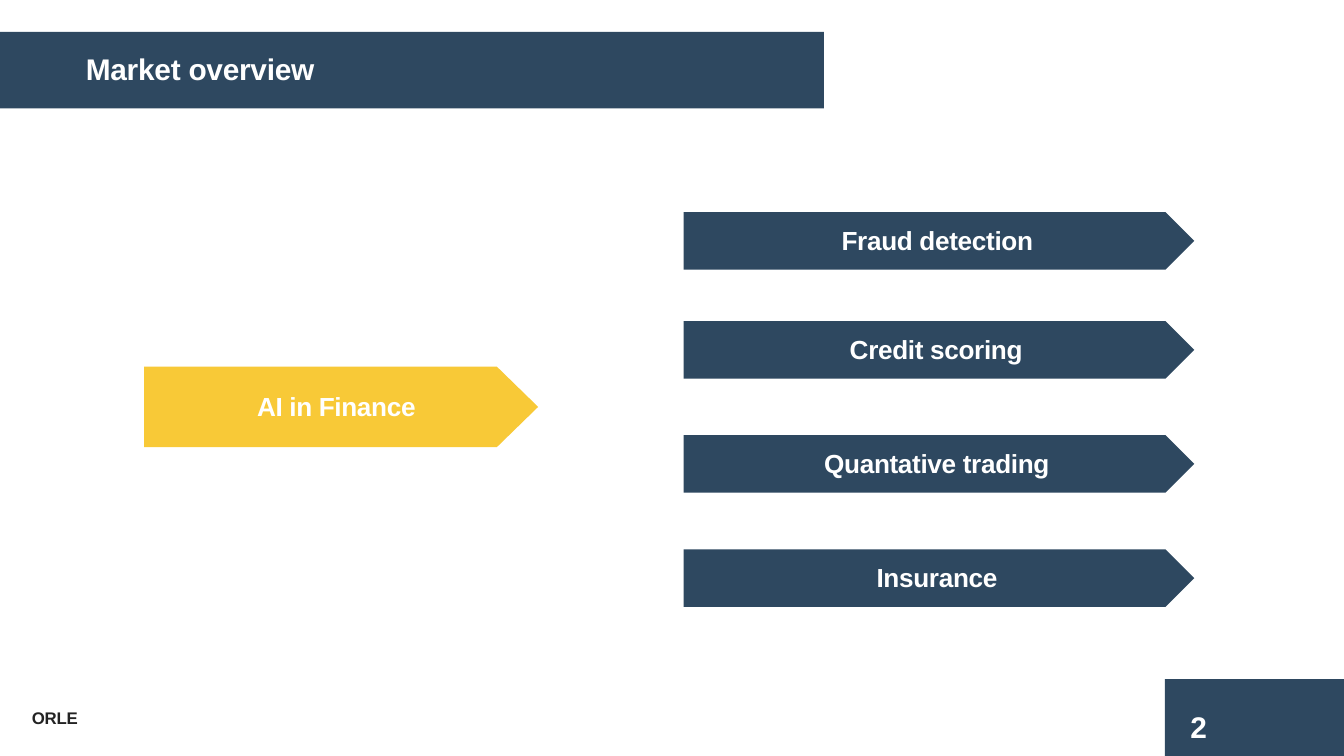
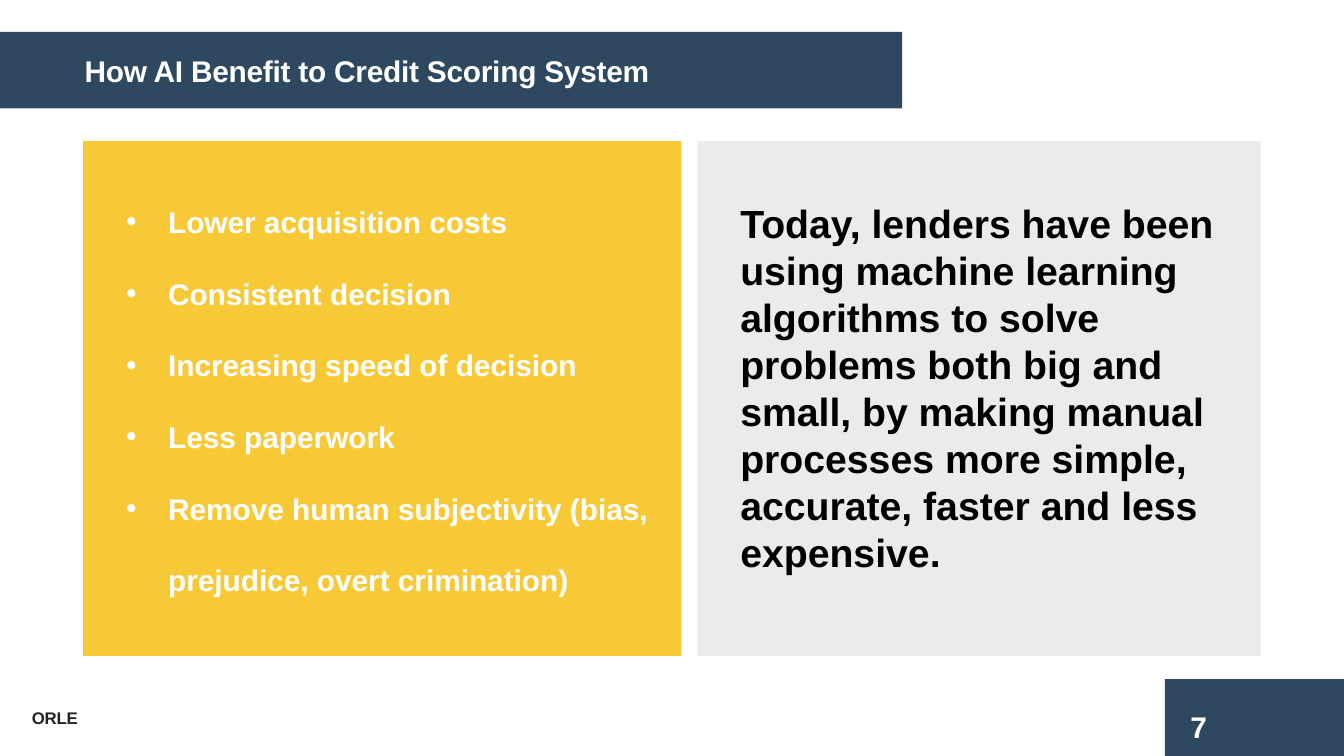
from lxml.etree import SubElement
from pptx import Presentation
from pptx.dml.color import RGBColor
from pptx.enum.shapes import MSO_SHAPE as Preset
from pptx.enum.text import MSO_ANCHOR as Anchor, MSO_AUTO_SIZE as AutoSize
from pptx.oxml.ns import qn
from pptx.util import Pt

# Content
COLORS = {"navy": "2E4860", "yellow": "F8C937", "gray": "EBEBEB",
          "white": "FFFFFF", "black": "000000", "footer": "232323"}
FONT = "Arial"
FOOTER = "ORLE"

MARKET = {"title": "Market overview", "number": "2", "band_width": 441.4,
          "title_box": (38.9, 23.8, 455, 26.6)}
TOPIC = ("AI in Finance", 104.4)
# Label, label width, arrow top
SECTORS = [("Fraud detection", 118.4, 113.6),
           ("Credit scoring", 109.7, 172),
           ("Quantative trading", 137.1, 233.1),
           ("Insurance", 80.9, 294.3)]

SCORING = {"title": "How AI Benefit to Credit Scoring System", "number": "7",
           "band_width": 483.3, "title_box": (38.2, 24.5, 397.4, 26.6)}
BENEFITS = ["Lower acquisition costs",
            "Consistent decision",
            "Increasing speed of decision",
            "Less paperwork",
            "Remove human subjectivity (bias, prejudice, overt crimination)"]
SUMMARY = ("Today, lenders have been using machine learning algorithms to solve "
           "problems both big and small, by making manual processes more simple, "
           "accurate, faster and less expensive.")

# Layout
SLIDE_SIZE = (720, 405)
BAND_TOP, BAND_HEIGHT = 17.1, 41
NUMBER_BLOCK = (624.1, 363.8, 95.9, 42.5)
NUMBER_BOX = (630.7, 375.3, 79.2, 27.4)
FOOTER_BOX = (10, 375.4, 232.6, 18)
TOPIC_ARROW = (77.3, 196.4, 211, 43.2)
SECTOR_LEFT, SECTOR_WIDTH, SECTOR_HEIGHT = 366.2, 273.6, 30.8
LABEL_HEIGHT = 24.5
PANEL_TOP, PANEL_HEIGHT = 75.6, 275.8
BENEFITS_BOX = (60.5, 86.4, 297, 257.8)
SUMMARY_BOX = (389.5, 103, 270.7, 211)
BULLET_INDENT = 22.5


def add_block(slide, box, color, preset=Preset.RECTANGLE, point=None):
    shape = slide.shapes.add_shape(preset, *map(Pt, box))
    shape.shadow.inherit = False
    shape.fill.solid()
    shape.fill.fore_color.rgb = RGBColor.from_string(COLORS[color])
    shape.line.fill.background()
    if point is not None:
        shape.adjustments[0] = point


def add_text(slide, box, paragraphs, size=16, color="white", spacing=0,
             anchor=Anchor.TOP, grow=True, line_spacing=None, bullet=None):
    frame = slide.shapes.add_textbox(*map(Pt, box)).text_frame
    frame.word_wrap = True
    frame.auto_size = AutoSize.SHAPE_TO_FIT_TEXT if grow else AutoSize.NONE
    frame.vertical_anchor = anchor
    frame.text = "\n".join(paragraphs)
    for paragraph in frame.paragraphs:
        if line_spacing:
            paragraph.line_spacing = line_spacing
        if bullet:
            properties = paragraph._p.get_or_add_pPr()
            properties.set("marL", str(Pt(BULLET_INDENT)))
            properties.set("indent", str(-Pt(BULLET_INDENT)))
            SubElement(properties, qn("a:buFont")).set("typeface", FONT)
            SubElement(properties, qn("a:buChar")).set("char", bullet)
        for run in paragraph.runs:
            run.font.name, run.font.size, run.font.bold = FONT, Pt(size), True
            run.font.color.rgb = RGBColor.from_string(COLORS[color])
            if spacing:
                run.font._element.set("spc", str(round(spacing * 100)))


def add_arrow(slide, box, color, label, label_width, point=0.5):
    """Arrow with its label box centred on it."""
    left, top, width, height = box
    add_block(slide, box, color, Preset.PENTAGON, point)
    label_box = (left + (width - label_width) / 2, top + (height - LABEL_HEIGHT) / 2,
                 label_width, LABEL_HEIGHT)
    add_text(slide, label_box, [label], size=14, spacing=-0.2)


def add_base_slide(presentation, content):
    """Slide with title band, page number and footer."""
    slide = presentation.slides.add_slide(presentation.slide_layouts[6])
    add_block(slide, NUMBER_BLOCK, "navy")
    add_text(slide, NUMBER_BOX, [content["number"]], anchor=Anchor.MIDDLE, grow=False)
    add_block(slide, (0, BAND_TOP, content["band_width"], BAND_HEIGHT), "navy")
    add_text(slide, content["title_box"], [content["title"]], spacing=-0.1)
    add_text(slide, FOOTER_BOX, [FOOTER], size=9, color="footer", spacing=-0.1)
    return slide


def build_market(presentation):
    slide = add_base_slide(presentation, MARKET)
    add_arrow(slide, TOPIC_ARROW, "yellow", *TOPIC, point=0.513)
    for label, label_width, top in SECTORS:
        add_arrow(slide, (SECTOR_LEFT, top, SECTOR_WIDTH, SECTOR_HEIGHT), "navy",
                  label, label_width)


def build_scoring(presentation):
    slide = add_base_slide(presentation, SCORING)
    for left, width, color in [(373.7, 301.7, "gray"), (44.6, 320.4, "yellow")]:
        add_block(slide, (left, PANEL_TOP, width, PANEL_HEIGHT), color)
    add_text(slide, BENEFITS_BOX, BENEFITS, line_spacing=2.0, bullet="•")
    add_text(slide, SUMMARY_BOX, [SUMMARY], size=21, color="black")


def main():
    presentation = Presentation()
    presentation.slide_width, presentation.slide_height = map(Pt, SLIDE_SIZE)
    build_market(presentation)
    build_scoring(presentation)
    presentation.save("out.pptx")


if __name__ == "__main__":
    main()
